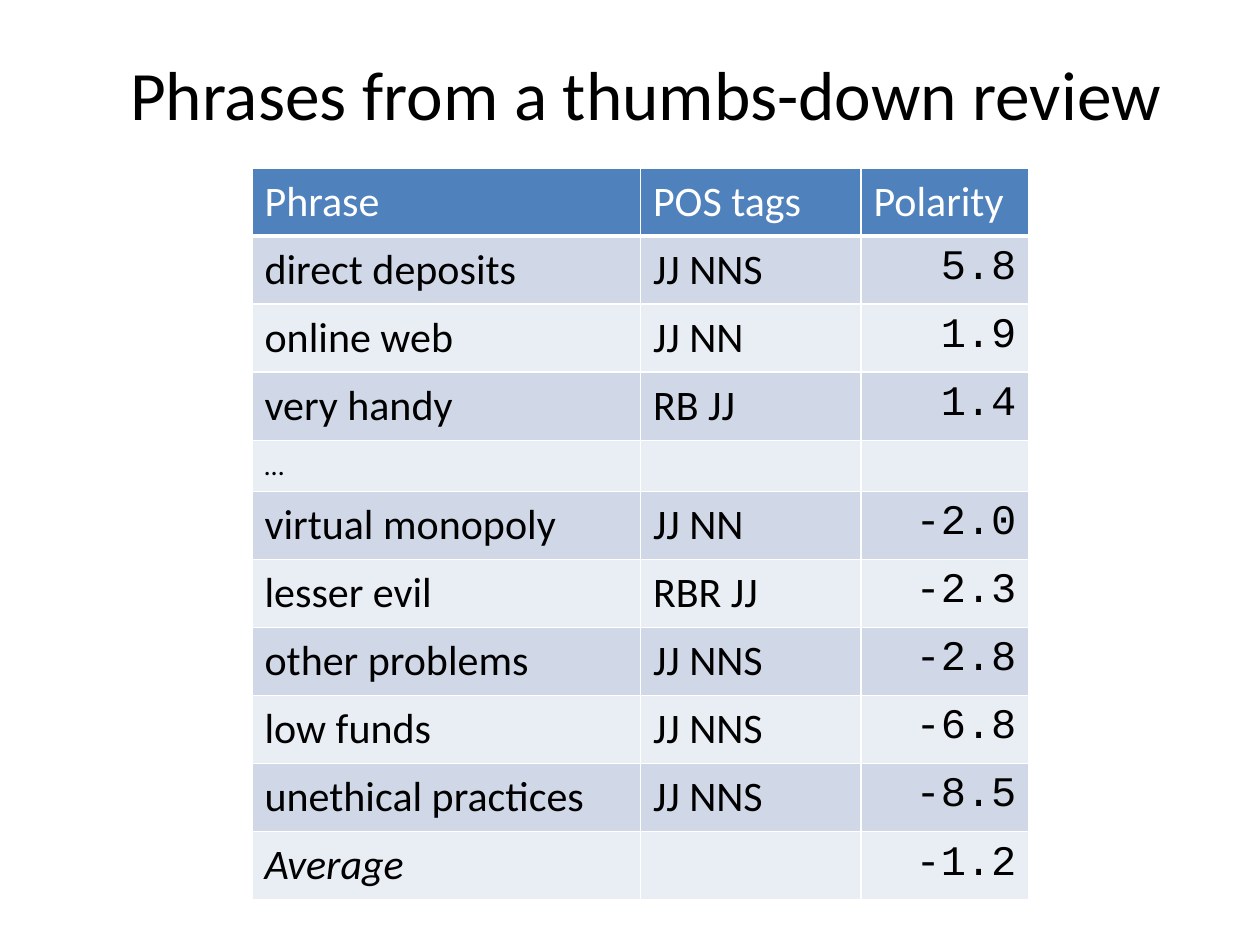
from dataclasses import dataclass

from lxml.etree import SubElement
from pptx import Presentation
from pptx.dml.color import RGBColor as RGB
from pptx.enum.text import MSO_ANCHOR as Anchor, PP_ALIGN as Align
from pptx.oxml.ns import qn
from pptx.util import Emu, Pt


@dataclass(frozen=True)
class Theme:
    black: str = "000000"
    white: str = "FFFFFF"
    header: str = "4F81BD"
    bands: tuple = ("D0D8E8", "E9EDF4")
    sans: str = "Calibri"
    mono: str = "Courier New"
    title: float = 39.6
    body: int = 24
    small: int = 16


T = Theme()
EMU_PER_PX = 7620
COLUMNS = (370, 210, 160)
ROW_H, GAP_ROW_H = 64, 48
ELLIPSIS = "…"
HEADER = ("Phrase", "POS tags", "Polarity")
PHRASES = (
    ("direct deposits", "JJ NNS", "5.8"),
    ("online web", "JJ NN", "1.9"),
    ("very handy", "RB JJ", "1.4"),
    (ELLIPSIS, "", ""),
    ("virtual monopoly", "JJ NN", "-2.0"),
    ("lesser evil", "RBR JJ", "-2.3"),
    ("other problems", "JJ NNS", "-2.8"),
    ("low funds", "JJ NNS", "-6.8"),
    ("unethical practices", "JJ NNS", "-8.5"),
    ("Average", "", "-1.2"),
)


def px(n):
    return Emu(n * EMU_PER_PX)


def add_run(p, text, size, color=T.black, font=T.sans, italic=False):
    r = p.add_run()
    r.text = text
    f = r.font
    f.name, f.size, f.bold, f.italic = font, Pt(size), False, italic
    f.color.rgb = RGB.from_string(color)


def add_title(slide, text):
    sp = slide.shapes.title
    sp.left, sp.top, sp.width, sp.height = map(px, (90, 23, 1050, 130))
    tf = sp.text_frame
    tf.word_wrap = True
    tf.vertical_anchor = Anchor.MIDDLE
    p = tf.paragraphs[0]
    p.alignment = Align.CENTER
    add_run(p, text, T.title)


def set_borders(cell, bottom):
    tc_pr = cell._tc.get_or_add_tcPr()
    for side, width in (("L", 1), ("R", 1), ("T", 1), ("B", bottom)):
        ln = SubElement(tc_pr, qn(f"a:ln{side}"), w=str(Pt(width)))
        fill = SubElement(ln, qn("a:solidFill"))
        SubElement(fill, qn("a:srgbClr"), val=T.white)


def format_cell(cell, fill, bottom=1):
    set_borders(cell, bottom)
    cell.fill.solid()
    cell.fill.fore_color.rgb = RGB.from_string(fill)
    cell.margin_left = cell.margin_right = px(12)
    cell.margin_top = cell.margin_bottom = px(8)


def fill_cell(cell, text, size, align=Align.LEFT, **style):
    p = cell.text_frame.paragraphs[0]
    p.alignment = align
    if text:
        add_run(p, text, size, **style)
    else:
        SubElement(p._p, qn("a:endParaRPr"), sz=str(size * 100))


def add_phrase_table(slide):
    heights = [ROW_H] + [GAP_ROW_H if row[0] == ELLIPSIS else ROW_H for row in PHRASES]
    frame = slide.shapes.add_table(
        len(heights), len(COLUMNS), px(240), px(160), px(sum(COLUMNS)), px(sum(heights))
    )
    table = frame.table
    table.first_row = table.horz_banding = False
    for column, width in zip(table.columns, COLUMNS):
        column.width = px(width)
    for row, height in zip(table.rows, heights):
        row.height = px(height)

    for c, text in enumerate(HEADER):
        cell = table.cell(0, c)
        format_cell(cell, T.header, bottom=3)
        fill_cell(cell, text, T.body, color=T.white)

    for r, row in enumerate(PHRASES):
        size = T.small if row[0] == ELLIPSIS else T.body
        styles = (
            {"italic": row[0] == "Average"},
            {},
            {"align": Align.RIGHT, "font": T.mono},
        )
        for c, (text, style) in enumerate(zip(row, styles)):
            cell = table.cell(r + 1, c)
            format_cell(cell, T.bands[r % 2])
            fill_cell(cell, text, size, **style)


def main():
    prs = Presentation()
    prs.slide_width, prs.slide_height = px(1200), px(900)
    slide = prs.slides.add_slide(prs.slide_layouts[5])
    add_title(slide, "Phrases from a thumbs-down review")
    add_phrase_table(slide)
    prs.save("out.pptx")


if __name__ == "__main__":
    main()
